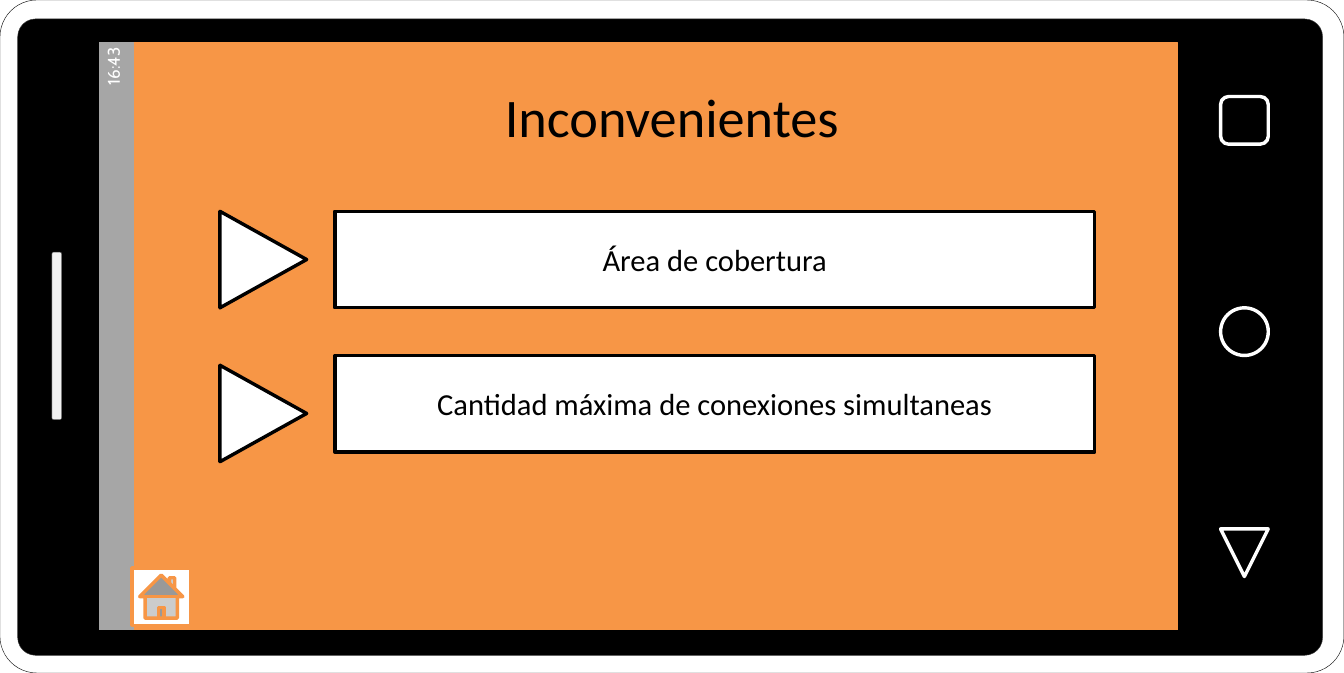
from lxml.etree import SubElement
from pptx import Presentation
from pptx.dml.color import RGBColor
from pptx.enum.shapes import MSO_CONNECTOR, MSO_SHAPE
from pptx.enum.text import MSO_ANCHOR, PP_ALIGN
from pptx.oxml.ns import qn
from pptx.util import Inches, Pt

WHITE = RGBColor(0xFF, 0xFF, 0xFF)
BLACK = RGBColor(0x00, 0x00, 0x00)
CASE_EDGE = RGBColor(0x0D, 0x0D, 0x0D)
BODY_EDGE = RGBColor(0x40, 0x40, 0x40)
SPEAKER = RGBColor(0xF2, 0xF2, 0xF2)
STATUS = RGBColor(0xA6, 0xA6, 0xA6)
ORANGE = RGBColor(0xF7, 0x96, 0x46)

COLUMNS, ROWS = 110, 55.1  # square cells, a tenth of an inch each


class PhoneSlide:
    """Holds the slide and its style; boxes are (column, row, columns, rows)."""

    font = "Calibri"
    stroke = 2

    def __init__(self, deck):
        self.slide = deck.slides.add_slide(deck.slide_layouts[6])
        self.shapes = self.slide.shapes
        self.column = deck.slide_width / COLUMNS
        self.row = deck.slide_height / ROWS

    def place(self, box):
        left, top, width, height = box
        return (round(left * self.column), round(top * self.row),
                round(width * self.column), round(height * self.row))

    def shape(self, kind, box, fill=None, line=None, stroke=stroke, turn=0, corner=None):
        """Draw a preset shape; box is the area it covers after its turn."""
        left, top, width, height = box
        if turn % 180:
            left, top = left + (width - height) / 2, top + (height - width) / 2
            width, height = height, width
        item = self.shapes.add_shape(kind, *self.place((left, top, width, height)))
        item.shadow.inherit = False
        item.rotation = turn
        if corner is not None:
            item.adjustments[0] = corner
        if fill is None:
            item.fill.background()
        else:
            item.fill.solid()
            item.fill.fore_color.rgb = fill
        if line is None:
            item.line.fill.background()
        else:
            item.line.color.rgb = line
            item.line.width = Pt(stroke)
        return item

    def add_words(self, item, words, size, color=BLACK, align=PP_ALIGN.CENTER, font=font):
        frame = item.text_frame
        frame.word_wrap = True
        paragraph = frame.paragraphs[0]
        paragraph.alignment = align
        run = paragraph.add_run()
        run.text = words
        run.font.name = font
        run.font.size = Pt(size)
        run.font.color.rgb = color
        return frame

    def title(self, words, box):
        self.add_words(self.shapes.add_textbox(*self.place(box)), words, 32)

    def status_bar(self, clock, box):
        bar = self.shape(MSO_SHAPE.RECTANGLE, box, STATUS, turn=270)
        frame = self.add_words(bar, clock, 10, WHITE, PP_ALIGN.RIGHT, "Cabin")
        frame.vertical_anchor = MSO_ANCHOR.MIDDLE
        frame.margin_left = frame.margin_right = Inches(0.05)
        frame.margin_top = frame.margin_bottom = Inches(0.05)

    def label(self, words, box):
        bar = self.shape(MSO_SHAPE.RECTANGLE, box, WHITE, BLACK)
        self.add_words(bar, words, 18).vertical_anchor = MSO_ANCHOR.MIDDLE

    def rule(self, column, top, bottom, color):
        x, start, _, length = self.place((column, top, 0, bottom - top))
        edge = self.shapes.add_connector(MSO_CONNECTOR.STRAIGHT, x, start, x, start + length)
        edge.line.color.rgb = color
        edge.line.width = Pt(self.stroke)
        SubElement(edge._element.spPr, qn("a:effectLst"))


def draw_phone(phone):
    rounded = MSO_SHAPE.ROUNDED_RECTANGLE
    phone.shape(rounded, (0, 0, COLUMNS, ROWS), WHITE, CASE_EDGE, 0.25, corner=0.055)
    phone.shape(rounded, (1.45, 1.55, 106.8, 52.1), BLACK, BODY_EDGE, 0.25, corner=0.028)
    phone.shape(MSO_SHAPE.RECTANGLE, (7.75, 3.4, 88.2, 48.3), WHITE, BLACK, 0.25)
    phone.shape(rounded, (4.25, 20.65, 0.8, 13.7), SPEAKER, BODY_EDGE, 0.25)
    phone.status_bar("16:43", (7.75, 3.4, 3, 48.3))
    keys = ((MSO_SHAPE.ISOSCELES_TRIANGLE, 43.3, 180),
            (MSO_SHAPE.OVAL, 25.2, 0),
            (rounded, 7.9, 0))
    for kind, row, turn in keys:
        phone.shape(kind, (99.9, row, 3.9, 3.9), line=WHITE, turn=turn)


def draw_screen(phone):
    phone.shape(MSO_SHAPE.RECTANGLE, (10.9, 3.5, 85.4, 48), ORANGE, ORANGE)
    phone.title("Inconvenientes", (37.7, 6.3, 34.6, 6.4))
    for row in (17.3, 29.9):
        phone.shape(MSO_SHAPE.ISOSCELES_TRIANGLE, (18, row, 7.1, 7.9), WHITE, BLACK, turn=90)
    drawbacks = ("Área de cobertura", "Cantidad máxima de conexiones simultaneas")
    for index, drawback in enumerate(drawbacks):
        phone.label(drawback, (27.4, 17.3 + 11.8 * index, 62.2, 7.9))
    phone.rule(10.8, 3.1, 52, STATUS)
    phone.shape(MSO_SHAPE.RECTANGLE, (7.8, 3.1, 89, 48.8), line=BLACK, stroke=5)
    phone.shape(MSO_SHAPE.ACTION_BUTTON_HOME, (10.8, 46.5, 4.8, 4.7), WHITE, ORANGE)


def main():
    deck = Presentation()
    deck.slide_width, deck.slide_height = Inches(11), Inches(5.51)
    phone = PhoneSlide(deck)
    draw_phone(phone)
    draw_screen(phone)
    deck.save("out.pptx")


if __name__ == "__main__":
    main()
